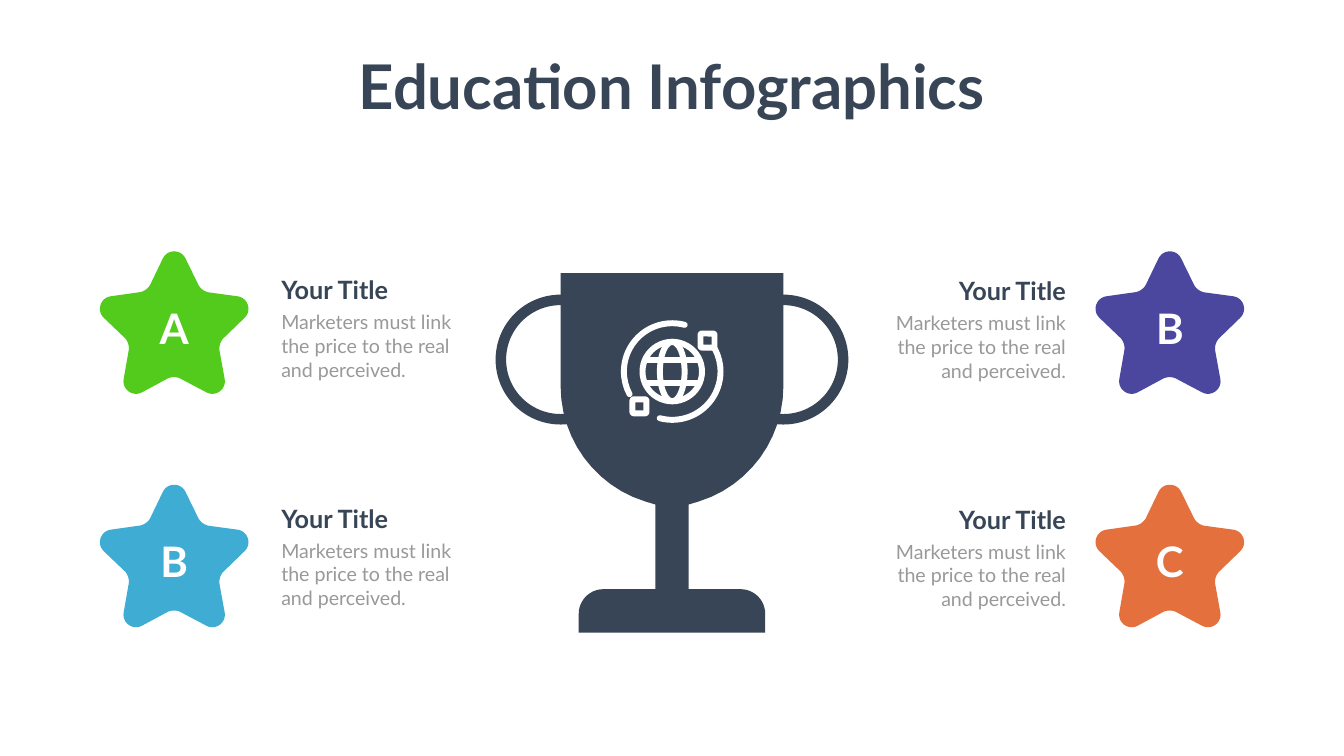
import math
from lxml import etree
from pptx import Presentation
from pptx import util as u
from pptx.dml.color import RGBColor
from pptx.enum import shapes, text
from pptx.oxml.ns import qn

Pt = u.Pt
KIND = shapes.MSO_SHAPE
ALIGN = text.PP_ALIGN
COLORS = {"back": "FEFFFE", "dark": "374556", "gray": "999999", "white": "FFFFFF",
          "green": "53CB1C", "blue": "3FADD3", "purple": "4B469E", "orange": "E3703D"}
FONT = "Lato"
WIDTH, HEIGHT = 1919.52, 1080
CENTER = WIDTH / 2

TITLE = "Education Infographics"
HEADING = "Your Title"
BODY = "Marketers must link the price to the real and perceived."
SIDES = [
    {"star": 248.8, "left": 394.6, "top": 388.8, "align": ALIGN.LEFT,
     "stars": [("A", "green"), ("B", "blue")]},
    {"star": 1670.8, "left": 1272.2, "top": 390.2, "align": ALIGN.RIGHT,
     "stars": [("B", "purple"), ("C", "orange")]},
]
STAR_TOP, STAR_PITCH, TEXT_PITCH = 469.7, 333.4, 326.2

# Outline steps: two numbers are a line end, six are a Bézier curve.
# Star tip and valley, around the star's centre
LOBE = [(-16.2, -100.4), (-9.7, -114, 9.7, -114, 16.2, -100.4),
        (34.9, -62.2), (37.8, -57.2, 42.8, -53.6, 48.6, -52.1)]
# Right halves, x from the middle of the slide
CUP = [(0, 390.2), (159.1, 390.2), (159.1, 551.5),
       (159.1, 627.1, 110.2, 694.1, 38.2, 716.4), (0, 727.9)]
BASE = [(0, 841.7), (97.9, 841.7), (117.4, 841.7, 133.2, 857.5, 133.2, 877),
        (133.2, 903.6), (0, 903.6)]
GLOBE_X, GLOBE_Y, GLOBE_LINE = 960.1, 530.8, 8.5


def color(name):
    return RGBColor.from_string(COLORS[name])


def trace(steps, pieces=12):
    """Turn outline steps into points, sampling each curve."""
    points = []
    for step in steps:
        if len(step) == 2:
            points.append(step)
            continue
        start = points[-1]
        for i in range(1, pieces + 1):
            t = i / pieces
            s = 1 - t
            points.append(tuple(
                s**3 * start[k] + 3 * s * s * t * step[k]
                + 3 * s * t * t * step[k + 2] + t**3 * step[k + 4] for k in (0, 1)))
    return points


def mirrored(half):
    points = trace(half)
    return points + [(-x, y) for x, y in reversed(points)]


def star_points():
    points = []
    for lobe in range(5):
        turn = math.radians(72 * lobe)
        cos, sin = math.cos(turn), math.sin(turn)
        points += [(x * cos - y * sin, x * sin + y * cos) for x, y in trace(LOBE)]
    return points


def add_outline(page, points, x, y, fill):
    places = [(Pt(x + px), Pt(y + py)) for px, py in points]
    builder = page.shapes.build_freeform(*places[0], scale=1.0)
    builder.add_line_segments(places[1:], close=True)
    paint(builder.convert_to_shape(), fill)


def paint(shape, fill=None, line=None, weight=0):
    shape.shadow.inherit = False
    if fill:
        shape.fill.solid()
        shape.fill.fore_color.rgb = color(fill)
    else:
        shape.fill.background()
    if line:
        shape.line.color.rgb = color(line)
        shape.line.width = Pt(weight)
    else:
        shape.line.fill.background()


def add_centered(page, kind, x, y, width, height, **style):
    shape = page.shapes.add_shape(kind, Pt(x - width / 2), Pt(y - height / 2),
                                  Pt(width), Pt(height))
    paint(shape, **style)
    return shape


def write(box, words, size, name, align, bold=True, wrap=True):
    frame = box.text_frame
    frame.word_wrap = wrap
    frame.auto_size = text.MSO_AUTO_SIZE.SHAPE_TO_FIT_TEXT
    frame.vertical_anchor = text.MSO_ANCHOR.TOP
    frame.text = words
    para = frame.paragraphs[0]
    para.alignment = align
    font = para.runs[0].font
    font.name, font.size, font.bold = FONT, Pt(size), bold
    font.color.rgb = color(name)


def add_text(page, x, y, width, height, *args, **options):
    box = page.shapes.add_textbox(Pt(x), Pt(y), Pt(width), Pt(height))
    write(box, *args, **options)


def add_trophy(page):
    add_outline(page, mirrored(CUP), CENTER, 0, "dark")
    add_centered(page, KIND.RECTANGLE, CENTER, 769.3, 47.5, 172, fill="dark")
    for side in (-1, 1):
        add_centered(page, KIND.OVAL, CENTER + side * 159.1, 513.7, 170.6, 170.6,
                     line="dark", weight=15)
    add_outline(page, mirrored(BASE), CENTER, 0, "dark")


def add_globe(page):
    stroke = {"line": "white", "weight": GLOBE_LINE}
    for width in (85, 35.3):
        add_centered(page, KIND.OVAL, GLOBE_X, GLOBE_Y, width, 85, **stroke)
    for offset in (-17, 17):
        y = Pt(GLOBE_Y + offset)
        parallel = page.shapes.add_connector(
            shapes.MSO_CONNECTOR.STRAIGHT, Pt(GLOBE_X - 39), y, Pt(GLOBE_X + 39), y)
        parallel.line.color.rgb = color("white")
        parallel.line.width = Pt(GLOBE_LINE)
        etree.SubElement(parallel._element.spPr, qn("a:effectLst"))
    for start, end in ((332, 105), (152, 285)):
        orbit = add_centered(page, KIND.ARC, GLOBE_X, GLOBE_Y, 138, 138, **stroke)
        for i, angle in enumerate((start, end)):
            orbit.adjustments[i] = angle * 0.6  # 60000ths of a degree over 100000
        orbit._element.spPr.find(qn("a:ln")).set("cap", "rnd")
    for x, y in ((50.4, -44.3), (-46.8, 49.7)):
        node = add_centered(page, KIND.ROUNDED_RECTANGLE, GLOBE_X + x, GLOBE_Y + y,
                            20, 20, **stroke)
        node.adjustments[0] = 0.1


def main():
    deck = Presentation()
    deck.slide_width, deck.slide_height = Pt(WIDTH), Pt(HEIGHT)
    page = deck.slides.add_slide(deck.slide_layouts[5])
    page.background.fill.solid()
    page.background.fill.fore_color.rgb = color("back")

    title = page.shapes.title
    title.left, title.top, title.width, title.height = map(Pt, (495.4, 65.5, 928, 113.8))
    write(title, TITLE, 88, "dark", ALIGN.CENTER, wrap=False)

    add_trophy(page)
    star = star_points()
    for side in SIDES:
        for row, (letter, fill) in enumerate(side["stars"]):
            x, y = side["star"], STAR_TOP + row * STAR_PITCH
            add_outline(page, star, x, y, fill)
            add_text(page, x - 54.4, y - 41.3, 108.8, 80, letter, 60, "white", ALIGN.CENTER)
            left, top = side["left"], side["top"] + row * TEXT_PITCH
            add_text(page, left, top, 257.2, 51, HEADING, 36, "dark", side["align"])
            add_text(page, left, top + 51, 257.2, 108.7, BODY, 28, "gray", side["align"],
                     bold=False)
    add_globe(page)
    deck.save("out.pptx")


if __name__ == "__main__":
    main()
